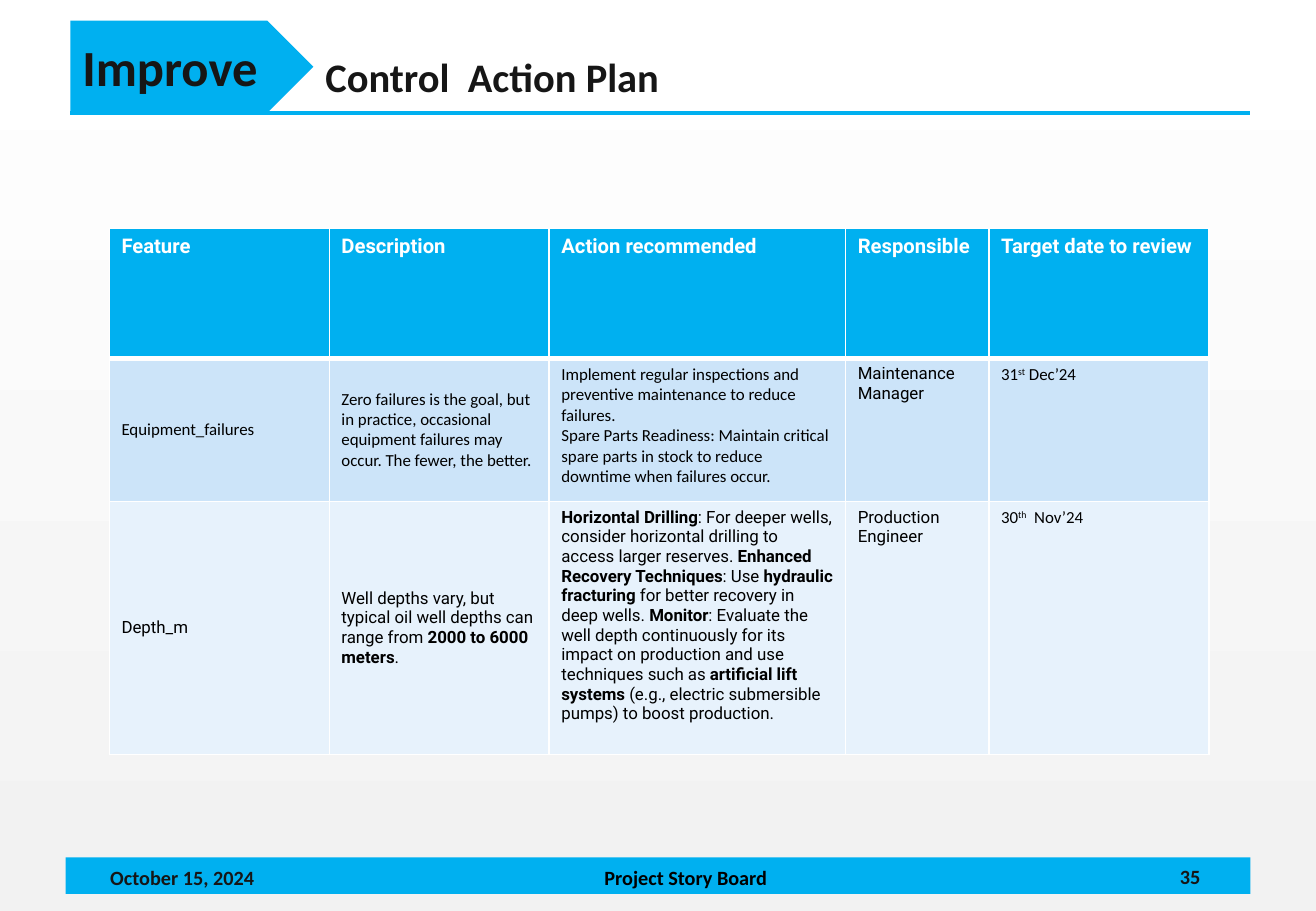
from lxml import etree
from pptx import Presentation
from pptx.dml.color import RGBColor
from pptx.enum.shapes import MSO_CONNECTOR, MSO_SHAPE
from pptx.enum.text import MSO_ANCHOR, PP_ALIGN
from pptx.oxml.ns import qn
from pptx.util import Inches, Pt

RECTANGLE, ARROW_TAG = MSO_SHAPE.RECTANGLE, MSO_SHAPE.PENTAGON
STRAIGHT = MSO_CONNECTOR.STRAIGHT
TOP, MIDDLE = MSO_ANCHOR.TOP, MSO_ANCHOR.MIDDLE
LEFT, CENTER = PP_ALIGN.LEFT, PP_ALIGN.CENTER

ACCENT, INK, BLACK, WHITE = "00B0F0", "161616", "000000", "FFFFFF"
BODY_FONT, TABLE_FONT = "Calibri", "Roboto"

COLUMN_WIDTHS = [1.81, 1.81, 2.44, 1.18, 1.81]
ROW_HEIGHTS = [1.07, 1.18, 2.08]
ROW_FILLS = [ACCENT, "CCE4F9", "E7F2FC"]
HEADINGS = ["Feature", "Description", "Action recommended", "Responsible",
            "Target date to review"]
# Each cell: text (*bold*, ^superscript^), font, anchor
ACTIONS = [
    [("Equipment_failures", BODY_FONT, MIDDLE),
     ("Zero failures is the goal, but in practice, occasional equipment "
      "failures may occur. The fewer, the better.", BODY_FONT, MIDDLE),
     ("Implement regular inspections and preventive maintenance to reduce "
      "failures.\nSpare Parts Readiness: Maintain critical spare parts in "
      "stock to reduce downtime when failures occur.", BODY_FONT, TOP),
     ("Maintenance Manager", TABLE_FONT, TOP),
     ("31^st^ Dec’24", BODY_FONT, TOP)],
    [("Depth_m", TABLE_FONT, MIDDLE),
     ("Well depths vary, but typical oil well depths can range from "
      "*2000 to 6000 meters*.", TABLE_FONT, MIDDLE),
     ("*Horizontal Drilling*: For deeper wells, consider horizontal drilling "
      "to access larger reserves. *Enhanced Recovery Techniques*: Use "
      "*hydraulic fracturing* for better recovery in deep wells. *Monitor*: "
      "Evaluate the well depth continuously for its impact on production and "
      "use techniques such as *artificial lift systems* (e.g., electric "
      "submersible pumps) to boost production.", TABLE_FONT, TOP),
     ("Production Engineer", TABLE_FONT, TOP),
     ("30^th^  Nov’24", BODY_FONT, TOP)],
]


def color(value):
    return RGBColor.from_string(value)


def write_text(frame, text, size=10, font=BODY_FONT, ink=BLACK, bold=False,
               align=LEFT):
    """Write lines of text; *...* is bold and ^...^ is superscript."""
    frame.word_wrap = True
    for number, line in enumerate(text.split("\n")):
        paragraph = frame.add_paragraph() if number else frame.paragraphs[0]
        paragraph.alignment = align
        for i, part in enumerate(line.split("*")):
            for j, piece in enumerate(part.split("^")):
                if not piece:
                    continue
                run = paragraph.add_run()
                run.text = piece
                run.font.size = Pt(size)
                run.font.name = font
                run.font.bold = bold or i % 2 == 1
                run.font.color.rgb = color(ink)
                if j % 2:
                    run.font._element.set("baseline", "30000")


def add_text(slide, box, text, anchor=MIDDLE, margins=(0, 0, 0, 0), **style):
    frame = slide.shapes.add_textbox(*map(Inches, box)).text_frame
    frame.vertical_anchor = anchor
    (frame.margin_left, frame.margin_top,
     frame.margin_right, frame.margin_bottom) = map(Inches, margins)
    write_text(frame, text, bold=True, **style)


def add_block(slide, kind, box):
    shape = slide.shapes.add_shape(kind, *map(Inches, box))
    shape.shadow.inherit = False
    shape.fill.solid()
    shape.fill.fore_color.rgb = color(ACCENT)
    shape.line.fill.background()
    return shape


def add_rule(slide, left, right, y):
    line = slide.shapes.add_connector(
        STRAIGHT, Inches(left), Inches(y), Inches(right), Inches(y))
    line.line.color.rgb = color(ACCENT)
    line.line.width = Pt(2.25)
    etree.SubElement(line._element.spPr, qn("a:effectLst"))


def set_borders(cell, widths):
    """Draw white borders, with widths in points by side."""
    properties = cell._tc.get_or_add_tcPr()
    for position, (side, width) in enumerate(widths.items()):
        border = etree.Element(qn(f"a:ln{side}"), w=str(Pt(width)))
        fill = etree.SubElement(border, qn("a:solidFill"))
        etree.SubElement(fill, qn("a:srgbClr"), val=WHITE)
        properties.insert(position, border)


def add_action_table(slide):
    rows = [[(heading, TABLE_FONT, TOP) for heading in HEADINGS]] + ACTIONS
    table = slide.shapes.add_table(
        len(rows), len(HEADINGS), Inches(0.9), Inches(1.88),
        Inches(sum(COLUMN_WIDTHS)), Inches(sum(ROW_HEIGHTS))).table
    for column, width in zip(table.columns, COLUMN_WIDTHS):
        column.width = Inches(width)
    for r, row in enumerate(rows):
        table.rows[r].height = Inches(ROW_HEIGHTS[r])
        header = r == 0
        for c, (text, font, anchor) in enumerate(row):
            cell = table.cell(r, c)
            cell.vertical_anchor = anchor
            cell.fill.solid()
            cell.fill.fore_color.rgb = color(ROW_FILLS[r])
            set_borders(cell, {"L": 1, "R": 1, "T": 3 if r == 1 else 1,
                               "B": 3 if header else 1})
            write_text(cell.text_frame, text, font=font, bold=header,
                       size=12 if header else 10,
                       ink=WHITE if header else BLACK)


def set_background(slide):
    fill = slide.background.fill
    fill.gradient()
    fill.gradient_angle = 270
    for stop, value in zip(fill.gradient_stops, (WHITE, "F2F2F2")):
        stop.color.rgb = color(value)


def main():
    presentation = Presentation()
    presentation.slide_width = Inches(10.83)
    presentation.slide_height = Inches(7.5)
    slide = presentation.slides.add_slide(presentation.slide_layouts[6])
    set_background(slide)

    # Footer
    add_block(slide, RECTANGLE, (0.54, 7.06, 9.75, 0.3))
    add_text(slide, (3.73, 7.12, 3.83, 0.3), "Project Story Board",
             anchor=TOP, size=12, align=CENTER)
    add_text(slide, (9.52, 7.06, 0.55, 0.31), "35",
             size=12, ink=INK, align=CENTER)
    add_text(slide, (0.75, 7.13, 1.5, 0.18), "October 15, 2024",
             size=12, ink=INK, align=CENTER)

    # Header
    add_text(slide, (2.58, 0.33, 7.5, 0.6), "Control  Action Plan",
             margins=(0.1, 0, 0, 0), size=24, ink=INK)
    add_rule(slide, 0.58, 10.29, 0.93)
    phase = add_block(slide, ARROW_TAG, (0.58, 0.17, 2, 0.76))
    phase.text_frame.vertical_anchor = MIDDLE
    write_text(phase.text_frame, "Improve", size=30, ink=INK, bold=True)

    # Action plan
    add_action_table(slide)
    presentation.save("out.pptx")


if __name__ == "__main__":
    main()
